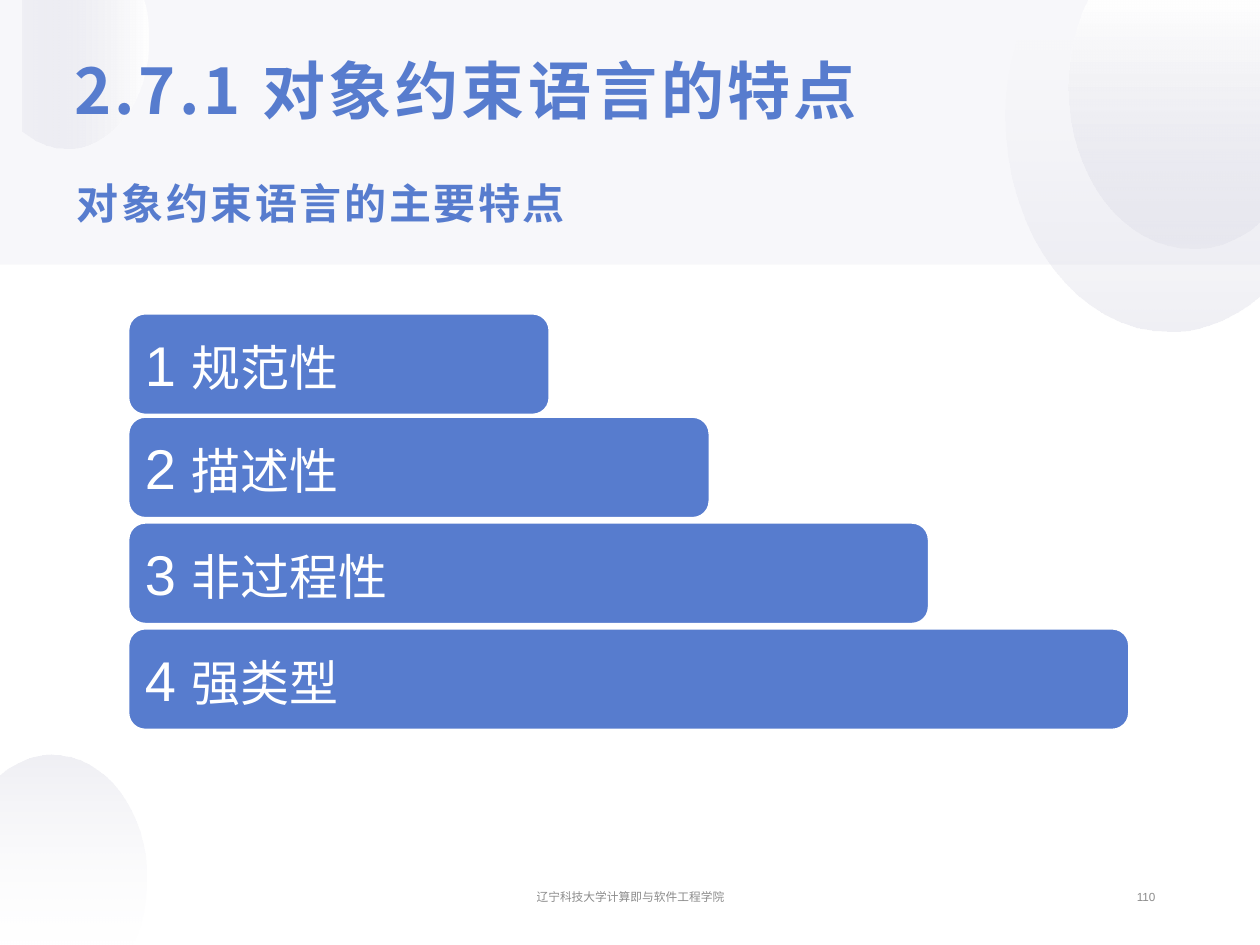
from pptx import Presentation
from pptx.dml.color import RGBColor
from pptx.enum.shapes import MSO_SHAPE
from pptx.enum.text import MSO_ANCHOR, MSO_AUTO_SIZE, PP_ALIGN
from pptx.oxml.ns import qn
from pptx.util import Inches, Pt

COLORS = {
    "blue": "577CCE", "white": "FFFFFF", "band": "F5F5F8",
    "mist": "D8D8E4", "haze": "BEBED2", "gray": "8C8C8C",
}
CJK = "Noto Sans CJK SC"
WIDTH, HEIGHT = 10, 7.5
LEFT_TOP = [
    (0.18, 1.04), (0.18, -0.18), (1.07, -0.18), (1.1, -0.11),
    (1.15, 0.01), (1.18, 0.15), (1.18, 0.3),
    (1.18, 0.79), (0.89, 1.18), (0.53, 1.18),
    (0.42, 1.18), (0.31, 1.14), (0.22, 1.07),
]
RIGHT_INNER = [
    (8.64, 0), (10, 0), (10, 1.75), (9.92, 1.82),
    (9.79, 1.91), (9.63, 1.97), (9.46, 1.97),
    (8.92, 1.97), (8.48, 1.4), (8.48, 0.69),
    (8.48, 0.47), (8.53, 0.26), (8.6, 0.08),
]
RIGHT_OUTER = [
    (8.19, 0), (10, 0), (10, 2.34), (9.9, 2.42),
    (9.71, 2.55), (9.5, 2.63), (9.28, 2.63),
    (8.56, 2.63), (7.98, 1.87), (7.98, 0.92),
    (7.98, 0.63), (8.04, 0.35), (8.14, 0.11),
]
LEFT_BOTTOM = [
    (1.04, 7.5), (0, 7.5), (0, 6.16), (0.06, 6.11),
    (0.16, 6.04), (0.29, 5.99), (0.41, 5.99),
    (0.83, 5.99), (1.16, 6.43), (1.16, 6.97),
    (1.16, 7.14), (1.13, 7.3), (1.07, 7.44),
]


def rgb(name):
    """Return the palette colour with this name."""
    return RGBColor.from_string(COLORS[name])


def set_alphas(sp, alphas):
    """Give each fill colour of a shape its opacity in percent."""
    for clr, alpha in zip(sp._element.spPr.iter(qn("a:srgbClr")), alphas):
        clr.append(clr.makeelement(qn("a:alpha"), {"val": str(alpha * 1000)}))


def add_run(p, text, size, color, font=CJK, bold=False, spacing=0):
    """Append formatted text to a paragraph."""
    r = p.add_run()
    r.text = text
    r.font.size, r.font.bold, r.font.name = Pt(size), bold, font
    r.font.color.rgb = rgb(color)
    rPr = r._r.get_or_add_rPr()
    rPr.set("spc", str(int(spacing * 100)))
    ea = rPr.makeelement(qn("a:ea"), {"typeface": CJK})
    rPr.find(qn("a:latin")).addnext(ea)


def set_frame(sp, margins=(0.1, 0.05, 0.1, 0.05), anchor=MSO_ANCHOR.MIDDLE,
              align=PP_ALIGN.LEFT):
    """Set up the text frame of a shape and return its first paragraph."""
    tf = sp.text_frame
    tf.word_wrap, tf.auto_size = True, MSO_AUTO_SIZE.NONE
    tf.vertical_anchor = anchor
    (tf.margin_left, tf.margin_top,
     tf.margin_right, tf.margin_bottom) = map(Inches, margins)
    p = tf.paragraphs[0]
    p.alignment, p.space_before = align, Pt(0)
    return p


def place(sp, left, top, width, height):
    """Move a placeholder to its box and to the front."""
    sp.left, sp.top = Inches(left), Inches(top)
    sp.width, sp.height = Inches(width), Inches(height)
    sp._element.getparent().append(sp._element)


def add_band(s):
    """Add the pale band behind the headings."""
    sp = s.shapes.add_shape(MSO_SHAPE.RECTANGLE, 0, 0, Inches(WIDTH), Inches(2.1))
    sp.shadow.inherit = False
    sp.fill.solid()
    sp.fill.fore_color.rgb = rgb("band")
    set_alphas(sp, [70])
    sp.line.fill.background()


def round_off(sp):
    """Join the lines after the first three into Bezier curves by threes."""
    lines = list(sp._element.spPr.iter(qn("a:lnTo")))[3:12]
    for i in range(0, len(lines), 3):
        curve = lines[i].makeelement(qn("a:cubicBezTo"), {})
        lines[i].addprevious(curve)
        for line in lines[i:i + 3]:
            curve.append(line[0])
            line.getparent().remove(line)


def add_blob(s, outline, colors, alphas, angle=270):
    """Add a cut ellipse with a gradient."""
    points = [(Inches(x), Inches(y)) for x, y in outline]
    builder = s.shapes.build_freeform(*points[0])
    builder.add_line_segments(points[1:], close=True)
    sp = builder.convert_to_shape()
    round_off(sp)
    sp.shadow.inherit = False
    sp.fill.gradient()
    sp.fill.gradient_angle = angle
    for stop, color in zip(sp.fill.gradient_stops, colors):
        stop.color.rgb = rgb(color)
    set_alphas(sp, alphas)
    sp.line.fill.background()


def add_headings(s):
    """Fill the title and body placeholders."""
    title, body = s.shapes.title, s.placeholders[1]
    place(body, 0.5, 1.29, 9, 0.68)
    p = set_frame(body, (0.11, 0, 0.09, 0), MSO_ANCHOR.TOP)
    pPr = p._p.get_or_add_pPr()
    pPr.set("marL", "0")
    pPr.set("indent", "0")
    pPr.append(pPr.makeelement(qn("a:buNone"), {}))
    p.line_spacing, p.space_after = 1.3, Pt(10)
    add_run(p, "对象约束语言的主要特点", 24, "blue", bold=True, spacing=1.5)

    place(title, 0.49, 0.39, 9, 0.72)
    p = set_frame(title)
    p.line_spacing = 0.9
    add_run(p, "2.7.1 对象约束语言的特点", 36, "blue", bold=True, spacing=2)


def add_bar(s, number, text, top, width):
    """Add one numbered bar of the staircase."""
    sp = s.shapes.add_shape(MSO_SHAPE.ROUNDED_RECTANGLE, Inches(1.02),
                            Inches(top), Inches(width), Inches(0.8))
    sp.shadow.inherit = False
    sp.fill.solid()
    sp.fill.fore_color.rgb = rgb("blue")
    sp.line.color.rgb = rgb("white")
    sp.line.width = Pt(1)
    p = set_frame(sp, (0.09, 0.07, 0.09, 0.07))
    add_run(p, f"{number} ", 32, "white", font="Arial")
    add_run(p, text, 28, "white", font="Arial")


def add_footer(s, text, left, width, align):
    """Add a small grey footer text."""
    sp = s.shapes.add_textbox(Inches(left), Inches(6.99), Inches(width), Inches(0.26))
    add_run(set_frame(sp, align=align), text, 6.7, "gray", font="Arial")


def main():
    """Build the slide and save it."""
    prs = Presentation()
    prs.slide_width, prs.slide_height = Inches(WIDTH), Inches(HEIGHT)
    s = prs.slides.add_slide(prs.slide_layouts[1])
    add_band(s)
    add_blob(s, LEFT_TOP, ("mist", "white"), (24, 100), angle=0)
    add_blob(s, RIGHT_INNER, ("white", "mist"), (100, 24))
    add_blob(s, RIGHT_OUTER, ("white", "haze"), (10, 24))
    add_blob(s, LEFT_BOTTOM, ("haze", "white"), (24, 10))
    add_headings(s)
    bars = (("规范性", 2.49, 3.34), ("描述性", 3.31, 4.61),
            ("非过程性", 4.15, 6.35), ("强类型", 4.99, 7.94))
    for number, bar in enumerate(bars, 1):
        add_bar(s, number, *bar)
    add_footer(s, "110", 7.06, 2.21, PP_ALIGN.RIGHT)
    add_footer(s, "辽宁科技大学计算即与软件工程学院", 3.38, 3.25, PP_ALIGN.CENTER)
    prs.save("out.pptx")


if __name__ == "__main__":
    main()
